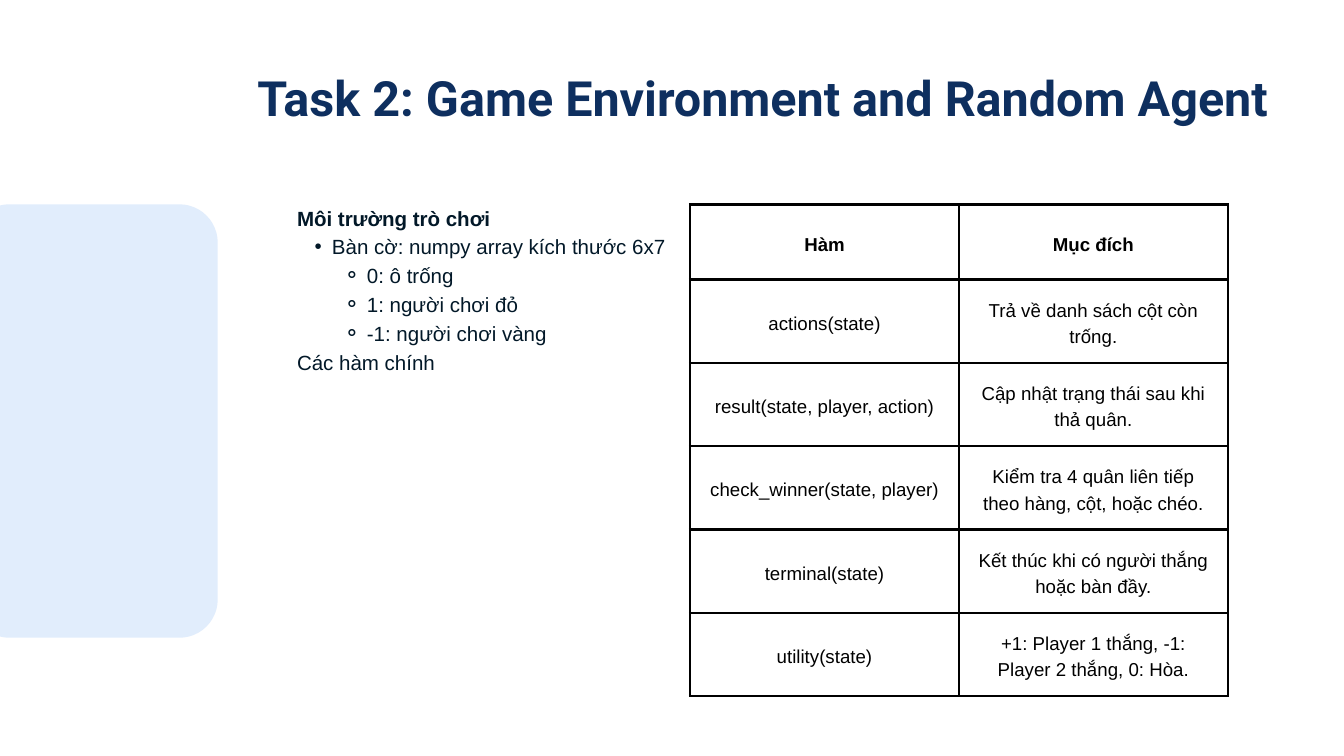
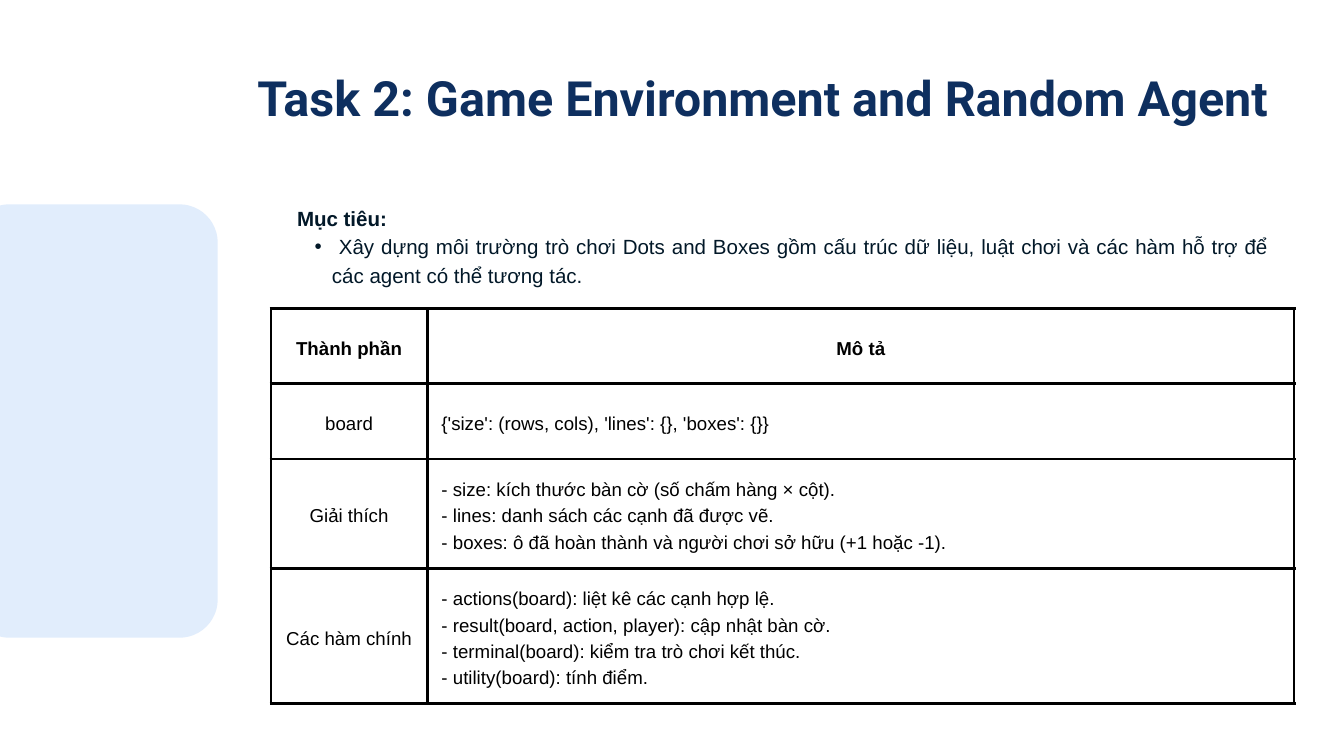
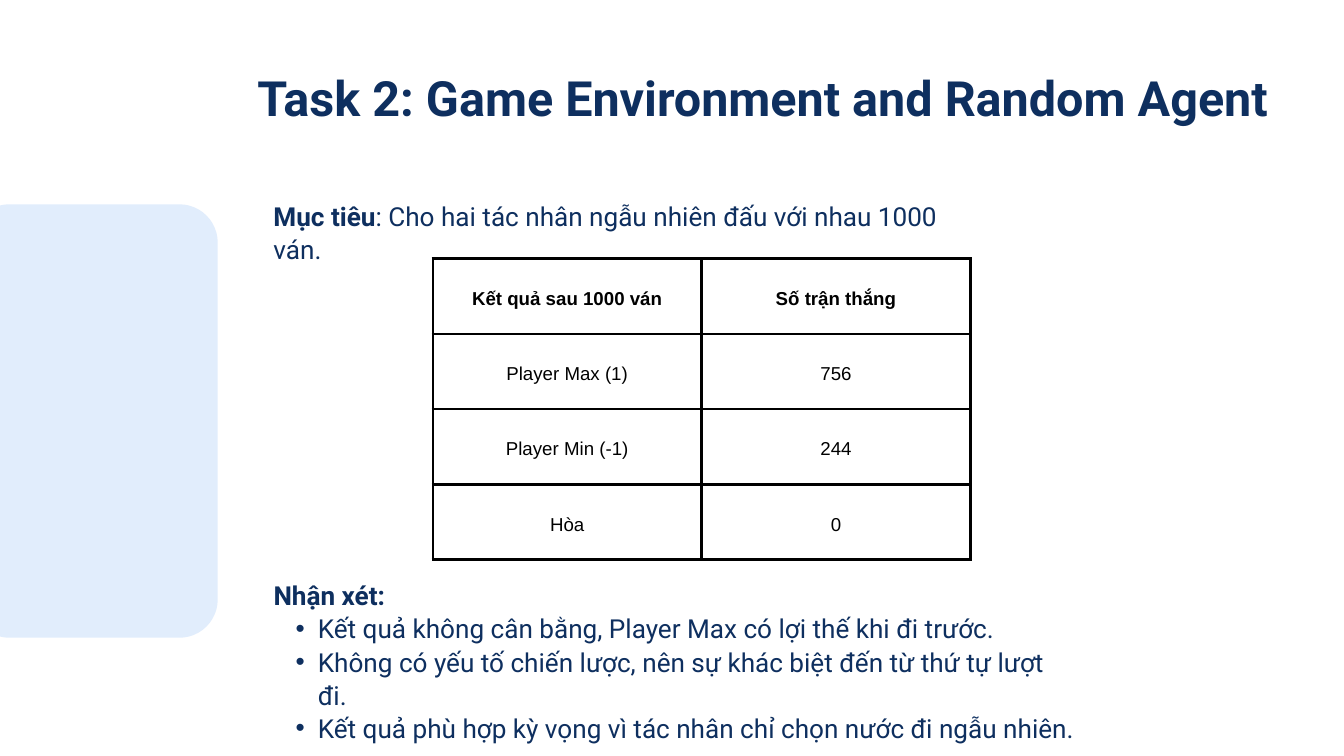
from collections import namedtuple

from lxml import etree
from pptx import Presentation
from pptx import util as u
from pptx.dml.color import RGBColor
from pptx.enum import shapes, text
from pptx.oxml.ns import qn

COLUMNS, ROWS = 20, 11.25
NAVY, INK, BLACK, PALE = "0E2F5F", "021828", "000000", "E1EDFC"
TITLE = "Task 2: Game Environment and Random Agent"
BODY_TOP = 3.04
HEADER_ROW, TWO_LINE_ROW = 1.12, 1.24
CELL_MARGIN = 0.21
LEFT, CENTER, RIGHT, JUSTIFY = (text.PP_ALIGN.LEFT, text.PP_ALIGN.CENTER,
                                text.PP_ALIGN.RIGHT, text.PP_ALIGN.JUSTIFY)

Box = namedtuple("Box", "left top width height")
Style = namedtuple("Style", "font size color leading align indents", defaults=[()])

TITLE_STYLE = Style("Roboto", 52, NAVY, 66, RIGHT)
CELL_STYLE = Style("Arial", 20, BLACK, 28, CENTER)
OUTLINE_STYLE = Style("Arial", 22, INK, 30.8, JUSTIFY,
                      ((0.52, -0.26, "•"), (1.04, -0.35, "⚬")))
REMARK_STYLE = Style("Roboto", 28, NAVY, 35.5, LEFT, ((0.66, -0.33, "•"),))


def color(value):
    return RGBColor.from_string(value)


def place(box):
    return [u.Inches(length) for length in box]


def add_bullet(paragraph, level, style):
    margin, hanging, character = style.indents[level - 1]
    paragraph.level = level
    properties = paragraph._p.get_or_add_pPr()
    properties.set("marL", str(u.Inches(margin)))
    properties.set("indent", str(u.Inches(hanging)))
    etree.SubElement(properties, qn("a:buFont"), typeface="Arial")
    etree.SubElement(properties, qn("a:buChar"), char=character)


def format_paragraph(paragraph, style, align=None):
    paragraph.alignment = style.align if align is None else align
    paragraph.line_spacing = u.Pt(style.leading)
    paragraph.font.name = style.font
    paragraph.font.size = u.Pt(style.size)
    paragraph.font.color.rgb = color(style.color)


def add_text(slide, box, style, lines):
    frame = slide.shapes.add_textbox(*place(box)).text_frame
    frame.word_wrap = True
    frame.margin_left = frame.margin_top = frame.margin_right = frame.margin_bottom = 0
    for index, (level, line) in enumerate(lines):
        paragraph = frame.add_paragraph() if index else frame.paragraphs[0]
        if level:
            add_bullet(paragraph, level, style)
        format_paragraph(paragraph, style)
        for position, part in enumerate(line.split("**")):
            if part:
                run = paragraph.add_run()
                run.text = part
                run.font.bold = position % 2 == 1


def add_borders(cell):
    properties = cell._tc.get_or_add_tcPr()
    for index, side in enumerate(("lnL", "lnR", "lnT", "lnB")):
        line = etree.Element(qn(f"a:{side}"), w=str(u.Pt(3)))
        fill = etree.SubElement(line, qn("a:solidFill"))
        etree.SubElement(fill, qn("a:srgbClr"), val=BLACK)
        properties.insert(index, line)


def fill_cell(cell, content, align, bold):
    cell.fill.background()
    add_borders(cell)
    cell.vertical_anchor = text.MSO_ANCHOR.MIDDLE
    cell.margin_left = cell.margin_right = u.Inches(CELL_MARGIN)
    cell.margin_top = cell.margin_bottom = u.Inches(CELL_MARGIN)
    cell.text_frame.text = content
    for paragraph in cell.text_frame.paragraphs:
        format_paragraph(paragraph, CELL_STYLE, align)
        paragraph.font.bold = bold


def add_grid(slide, left, top, widths, heights, records, aligns=(CENTER, CENTER)):
    box = Box(left, top, sum(widths), sum(heights))
    table = slide.shapes.add_table(len(heights), len(widths), *place(box)).table
    table.first_row = table.horz_banding = False
    for column, width in zip(table.columns, widths):
        column.width = u.Inches(width)
    for index, (row, height, record) in enumerate(zip(table.rows, heights, records)):
        row.height = u.Inches(height)
        for cell, content, align in zip(row.cells, record, aligns):
            fill_cell(cell, content, align if index else CENTER, index == 0)


def add_base(presentation):
    slide = presentation.slides.add_slide(presentation.slide_layouts[6])
    slide.background.fill.solid()
    slide.background.fill.fore_color.rgb = color("FFFFFF")
    box = Box(-0.43, BODY_TOP, 3.67, 6.45)
    panel = slide.shapes.add_shape(shapes.MSO_SHAPE.ROUNDED_RECTANGLE, *place(box))
    panel.adjustments[0] = 0.57 / box.width
    panel.shadow.inherit = False
    panel.fill.solid()
    panel.fill.fore_color.rgb = color(PALE)
    panel.line.fill.background()
    add_text(slide, Box(1.67, 0.96, 17.2, 1.95), TITLE_STYLE, [(0, f"**{TITLE}**")])
    return slide


def add_outline(slide, height, lines):
    add_text(slide, Box(4.42, 3, 14.45, height), OUTLINE_STYLE, lines)


def build_environment(presentation):
    slide = add_base(presentation)
    records = [
        ("Hàm", "Mục đích"),
        ("actions(state)", "Trả về danh sách cột còn trống."),
        ("result(state, player, action)", "Cập nhật trạng thái sau khi thả quân."),
        ("check_winner(state, player)",
         "Kiểm tra 4 quân liên tiếp theo hàng, cột, hoặc chéo."),
        ("terminal(state)", "Kết thúc khi có người thắng hoặc bàn đầy."),
        ("utility(state)", "+1: Player 1 thắng, -1: Player 2 thắng, 0: Hòa."),
    ]
    heights = [HEADER_ROW] + [TWO_LINE_ROW] * (len(records) - 1)
    add_grid(slide, 10.27, BODY_TOP, (4, 4), heights, records)
    add_outline(slide, 2.54, [
        (0, "**Môi trường trò chơi**"),
        (1, "Bàn cờ: numpy array kích thước 6x7"),
        (2, "0: ô trống"),
        (2, "1: người chơi đỏ"),
        (2, "-1: người chơi vàng"),
        (0, "Các hàm chính"),
    ])


def build_components(presentation):
    slide = add_base(presentation)
    records = [
        ("Thành phần", "Mô tả"),
        ("board", "{'size': (rows, cols), 'lines': {}, 'boxes': {}}"),
        ("Giải thích",
         "- size: kích thước bàn cờ (số chấm hàng × cột).\n"
         "- lines: danh sách các cạnh đã được vẽ.\n"
         "- boxes: ô đã hoàn thành và người chơi sở hữu (+1 hoặc -1)."),
        ("Các hàm chính",
         "- actions(board): liệt kê các cạnh hợp lệ.\n"
         "- result(board, action, player): cập nhật bàn cờ.\n"
         "- terminal(board): kiểm tra trò chơi kết thúc.\n"
         "- utility(board): tính điểm."),
    ]
    heights = (HEADER_ROW, HEADER_ROW, 1.63, 2.01)
    add_grid(slide, 4.03, 4.59, (2.33, 12.9), heights, records, (CENTER, LEFT))
    add_outline(slide, 1.26, [
        (0, "**Mục tiêu:**"),
        (1, " Xây dựng môi trường trò chơi Dots and Boxes gồm cấu trúc dữ liệu, "
            "luật chơi và các hàm hỗ trợ để các agent có thể tương tác."),
    ])


def build_results(presentation):
    slide = add_base(presentation)
    records = [
        ("Kết quả sau 1000 ván", "Số trận thắng"),
        ("Player Max (1)", "756"),
        ("Player Min (-1)", "244"),
        ("Hòa", "0"),
    ]
    add_grid(slide, 6.44, 3.85, (4, 4), [HEADER_ROW] * len(records), records)
    add_text(slide, Box(4.07, 2.95, 10.6, 0.56), REMARK_STYLE, [
        (0, "**Mục tiêu**: Cho hai tác nhân ngẫu nhiên đấu với nhau 1000 ván."),
    ])
    add_text(slide, Box(4.07, 8.6, 11.95, 2.02), REMARK_STYLE, [
        (0, "**Nhận xét:**"),
        (1, "Kết quả không cân bằng, Player Max có lợi thế khi đi trước."),
        (1, "Không có yếu tố chiến lược, nên sự khác biệt đến từ thứ tự lượt đi."),
        (1, "Kết quả phù hợp kỳ vọng vì tác nhân chỉ chọn nước đi ngẫu nhiên."),
    ])


def main():
    presentation = Presentation()
    presentation.slide_width = u.Inches(COLUMNS)
    presentation.slide_height = u.Inches(ROWS)
    for build in (build_environment, build_components, build_results):
        build(presentation)
    presentation.save("out.pptx")


if __name__ == "__main__":
    main()
